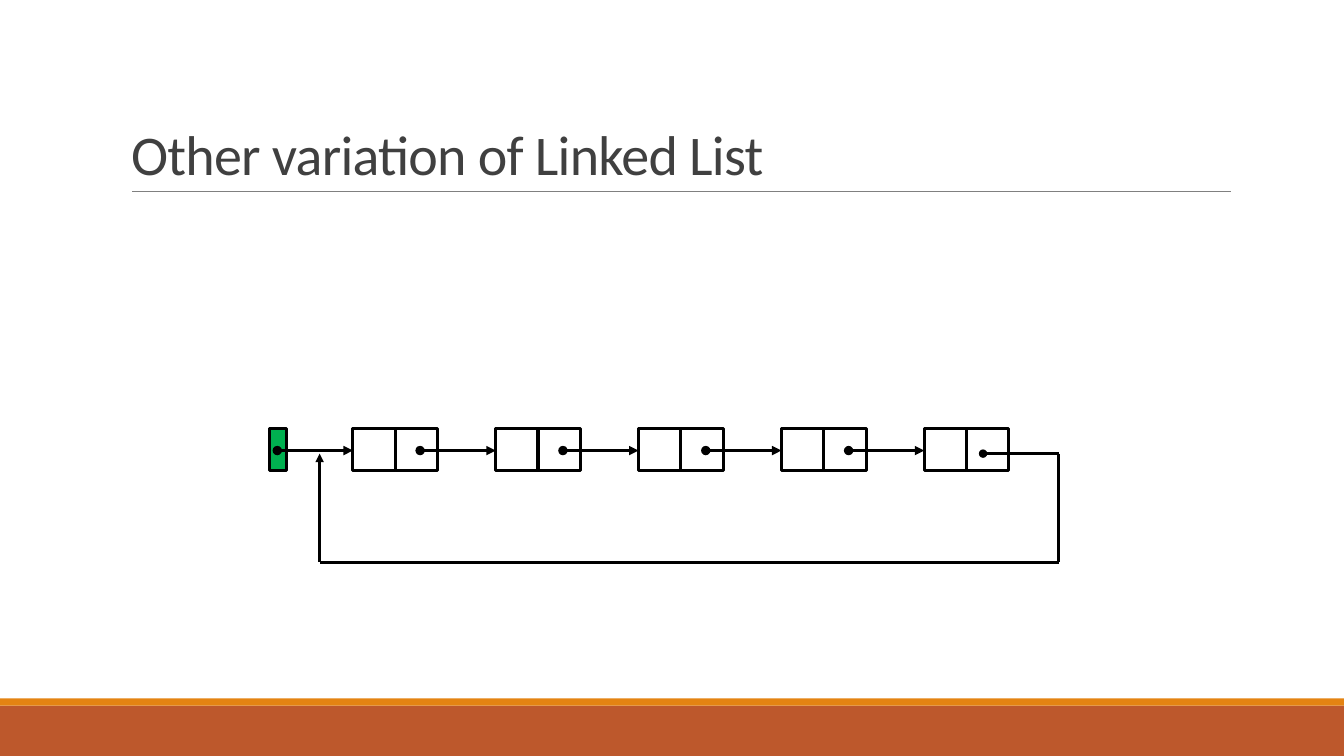
import pptx
import pptx.dml.color
import pptx.enum.shapes
import pptx.enum.text
import pptx.oxml
import pptx.util
from pptx.util import Inches

# Content
TITLE = "Other variation of Linked List"
COLORS = {"band": "BD582C", "stripe": "E48312", "rule": "808080",
          "title": "404040", "ink": "000000", "head": "00B050"}
BANDS = [("band", 7, 0.5), ("stripe", 6.93, 0.07)]
NODE_COUNT = 5

# Geometry in inches
SLIDE_WIDTH, SLIDE_HEIGHT = 13.33, 7.5
CELL = 0.42
NODE_LEFT, NODE_TOP = 3.5, 4.25
NODE_PITCH = 17 / 12
HEAD_LEFT, HEAD_WIDTH = 2.67, 0.17
LINK_Y, LINK_LENGTH = 4.47, 0.75
LOOP_LEFT, LOOP_RIGHT, LOOP_TOP, LOOP_BOTTOM = 3.17, 10.5, 4.5, 5.58

presentation = pptx.Presentation()
presentation.slide_width = Inches(SLIDE_WIDTH)
presentation.slide_height = Inches(SLIDE_HEIGHT)
slide = presentation.slides.add_slide(presentation.slide_layouts[5])


def rgb(color):
    return pptx.dml.color.RGBColor.from_string(COLORS[color])


def write_text(frame, text, *, size, color, font="Calibri", line_spacing=1.0,
               tracking=0, align=pptx.enum.text.PP_ALIGN.LEFT,
               anchor=pptx.enum.text.MSO_ANCHOR.TOP):
    frame.word_wrap = True
    frame.auto_size = pptx.enum.text.MSO_AUTO_SIZE.NONE
    frame.vertical_anchor = anchor
    paragraph = frame.paragraphs[0]
    paragraph.alignment = align
    paragraph.line_spacing = line_spacing
    run = paragraph.add_run()
    run.text = text
    run.font.name = font
    run.font.size = pptx.util.Pt(size)
    run.font.color.rgb = rgb(color)
    run.font._element.set("spc", str(round(tracking * 100)))


def add_box(left, top, width, height, fill=None, line_width=None):
    box = slide.shapes.add_shape(
        pptx.enum.shapes.MSO_SHAPE.RECTANGLE,
        Inches(left), Inches(top), Inches(width), Inches(height))
    box.shadow.inherit = False
    if fill:
        box.fill.solid()
        box.fill.fore_color.rgb = rgb(fill)
    else:
        box.fill.background()
    if line_width:
        box.line.color.rgb = rgb("ink")
        box.line.width = pptx.util.Pt(line_width)
    else:
        box.line.fill.background()


def add_line(x1, y1, x2, y2, width, color="ink", start=None, end=None):
    line = slide.shapes.add_connector(
        pptx.enum.shapes.MSO_CONNECTOR.STRAIGHT,
        Inches(x1), Inches(y1), Inches(x2), Inches(y2))
    line.line.color.rgb = rgb(color)
    line.line.width = pptx.util.Pt(width)
    outline = line.line._get_or_add_ln()
    for tag, kind in (("a:headEnd", start), ("a:tailEnd", end)):
        if kind:
            outline.append(pptx.oxml.xmlchemy.OxmlElement(tag))
            outline[-1].set("type", kind)
    line._element.spPr.append(pptx.oxml.xmlchemy.OxmlElement("a:effectLst"))


# Footer bands and title rule
for color, top, height in BANDS:
    add_box(0, top, SLIDE_WIDTH, height, fill=color)
add_line(1.31, 1.9, 12.21, 1.9, 0.5, color="rule")

# Title
title = slide.shapes.title
title.left, title.top = Inches(1.2), Inches(0.31)
title.width, title.height = Inches(11), Inches(1.59)
write_text(title.text_frame, TITLE, size=40, color="title", line_spacing=0.85,
           tracking=-0.5, anchor=pptx.enum.text.MSO_ANCHOR.BOTTOM)

# Head pointer and nodes, each node a data cell and a link cell
add_box(HEAD_LEFT, NODE_TOP, HEAD_WIDTH, CELL, fill="head", line_width=2.25)
node_lefts = [NODE_LEFT + i * NODE_PITCH for i in range(NODE_COUNT)]
for left in node_lefts:
    for cell_left in (left, left + CELL):
        add_box(cell_left, NODE_TOP, CELL, CELL, line_width=2.25)

# Links into each node
for left in node_lefts:
    add_line(left - LINK_LENGTH, LINK_Y, left, LINK_Y, 2.25,
             start="oval", end="triangle")

# Loop from the last node back to the first
add_line(LOOP_RIGHT - LINK_LENGTH, LOOP_TOP, LOOP_RIGHT, LOOP_TOP, 2, start="oval")
add_line(LOOP_RIGHT, LOOP_TOP, LOOP_RIGHT, LOOP_BOTTOM, 2)
add_line(LOOP_LEFT, LOOP_BOTTOM, LOOP_RIGHT, LOOP_BOTTOM, 2)
add_line(LOOP_LEFT, LOOP_TOP, LOOP_LEFT, LOOP_BOTTOM, 2, start="triangle")

presentation.save("out.pptx")
